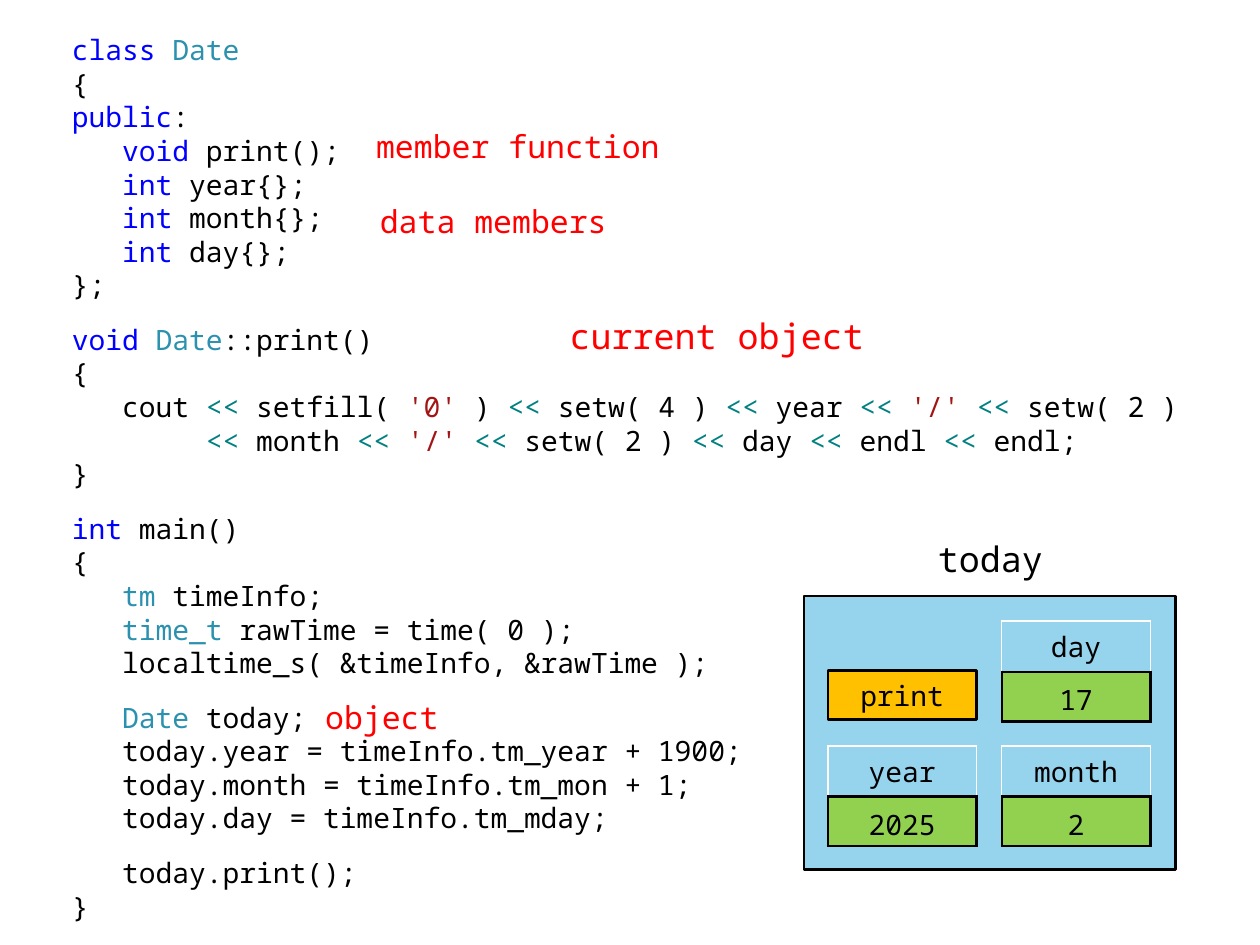
from itertools import groupby

from lxml import etree
from pptx import Presentation
from pptx.dml.color import RGBColor
from pptx.enum.shapes import MSO_SHAPE
from pptx.enum.text import MSO_ANCHOR, MSO_AUTO_SIZE, PP_ALIGN
from pptx.oxml.ns import qn
from pptx.util import Inches, Pt

PROCESS = MSO_SHAPE.FLOWCHART_PROCESS
TOP, MIDDLE = MSO_ANCHOR.TOP, MSO_ANCHOR.MIDDLE
LEFT, CENTER = PP_ALIGN.LEFT, PP_ALIGN.CENTER

THEME = {
    "font": "Noto Sans Mono", "code": 16, "label": 18, "heading": 20,
    "leading": 19.2, "block_gap": 12, "border": 1.5,
    "ink": "000000", "keyword": "0000FF", "type": "2B91AF",
    "operator": "008080", "literal": "A31515", "note": "FF0000",
    "object": "96D4EE", "function": "FFC000", "data": "92D050",
}

CODE_BLOCKS = [
    """class Date
{
public:
   void print();
   int year{};
   int month{};
   int day{};
};""",
    """void Date::print()
{
   cout << setfill( '0' ) << setw( 4 ) << year << '/' << setw( 2 )
        << month << '/' << setw( 2 ) << day << endl << endl;
}""",
    """int main()
{
   tm timeInfo;
   time_t rawTime = time( 0 );
   localtime_s( &timeInfo, &rawTime );""",
    """   Date today;
   today.year = timeInfo.tm_year + 1900;
   today.month = timeInfo.tm_mon + 1;
   today.day = timeInfo.tm_mday;""",
    """   today.print();
}""",
]
SYNTAX = {
    "keyword": ["class", "public", "void", "int"],
    "type": ["Date", "tm", "time_t"],
    "operator": ["<<"],
    "literal": ["'0'", "'/'"],
}
CODE_AREA = (0.47, 0.21, 9.06, 7.09)

OBJECT_AREA = (6.38, 4.73, 2.95, 2.17)
FUNCTION_AREA = (6.57, 5.32, 1.18, 0.39)
FIELD_COLUMNS, FIELD_ROWS = (6.57, 7.95), (4.93, 5.92)
FIELD_WIDTH, FIELD_ROW_HEIGHT = 1.18, 0.395
FIELDS = [("year", "2025", 0, 1), ("month", "2", 1, 1), ("day", "17", 1, 0)]

HEADING_INSETS, LABEL_INSETS = (0.05, 0.05), (0, 0.05)
LABELS = [
    ("today", (7.17, 4.14, 1.38, 0.59), "heading", "ink", HEADING_INSETS),
    ("current object", (4.41, 2.37, 2.56, 0.59), "heading", "note", HEADING_INSETS),
    ("object", (2.44, 5.52, 1.18, 0.39), "label", "note", LABEL_INSETS),
    ("member function", (2.83, 0.99, 2.56, 0.39), "label", "note", LABEL_INSETS),
    ("data members", (2.83, 1.58, 2.17, 0.39), "label", "note", LABEL_INSETS),
]


def color(role):
    return RGBColor.from_string(THEME[role])


def inches(area):
    return [Inches(length) for length in area]


def style(paragraph, size="code", role=None, align=CENTER):
    paragraph.alignment = align
    paragraph.font.name = THEME["font"]
    paragraph.font.size = Pt(THEME[size])
    if role:
        paragraph.font.color.rgb = color(role)


def character_kind(character):
    if character.isalnum() or character in "_'/":
        return "word"
    return "space" if character == " " else "symbol"


def token_role(token):
    return next((role for role, words in SYNTAX.items() if token in words), "ink")


def colored_parts(line):
    tokens = ["".join(group) for _, group in groupby(line, character_kind)]
    return [(role, "".join(group)) for role, group in groupby(tokens, token_role)]


def add_code(slide):
    listing = slide.placeholders[1]
    listing.left, listing.top, listing.width, listing.height = inches(CODE_AREA)
    frame = listing.text_frame
    frame.word_wrap = True
    frame.auto_size = MSO_AUTO_SIZE.NONE
    frame.vertical_anchor = TOP
    lines = [(line, THEME["block_gap"] if block and not row else 0)
             for block, text in enumerate(CODE_BLOCKS)
             for row, line in enumerate(text.split("\n"))]
    for number, (line, gap) in enumerate(lines):
        paragraph = frame.add_paragraph() if number else frame.paragraphs[0]
        style(paragraph, align=LEFT)
        paragraph.line_spacing = Pt(THEME["leading"])
        paragraph.space_before = Pt(gap)
        properties = paragraph._p.get_or_add_pPr()
        properties.set("marL", str(Inches(0.39)))
        properties.set("indent", str(Inches(-0.39)))
        bullet = etree.Element(qn("a:buNone"))
        properties.find(qn("a:defRPr")).addprevious(bullet)
        for role, part in colored_parts(line):
            run = paragraph.add_run()
            run.text = part
            run.font.color.rgb = color(role)


def add_box(slide, area, role, text=""):
    box = slide.shapes.add_shape(PROCESS, *inches(area))
    box.shadow.inherit = False
    box.fill.solid()
    box.fill.fore_color.rgb = color(role)
    box.line.color.rgb = color("ink")
    box.line.width = Pt(THEME["border"])
    if text:
        box.text_frame.text = text
        box.text_frame.vertical_anchor = MIDDLE
        style(box.text_frame.paragraphs[0], role="ink")


def add_borders(cell, sides):
    properties = cell._tc.get_or_add_tcPr()
    for position, side in enumerate(sides):
        border = etree.Element(qn(f"a:ln{side}"), w=str(Pt(THEME["border"])))
        fill = etree.SubElement(border, qn("a:solidFill"))
        etree.SubElement(fill, qn("a:srgbClr"), val=THEME["ink"])
        properties.insert(position, border)


def add_field(slide, name, value, column, row):
    area = (FIELD_COLUMNS[column], FIELD_ROWS[row], FIELD_WIDTH, 2 * FIELD_ROW_HEIGHT)
    table = slide.shapes.add_table(2, 1, *inches(area)).table
    table.first_row = table.horz_banding = False
    name_cell, value_cell = table.cell(0, 0), table.cell(1, 0)
    for cell, text in ((name_cell, name), (value_cell, value)):
        cell.text = text
        cell.vertical_anchor = MIDDLE
        style(cell.text_frame.paragraphs[0], role="ink")
    name_cell.fill.background()
    value_cell.margin_bottom = 0
    value_cell.fill.solid()
    value_cell.fill.fore_color.rgb = color("data")
    add_borders(name_cell, "B")
    add_borders(value_cell, "LRTB")


def add_label(slide, text, area, size, role, insets):
    frame = slide.shapes.add_textbox(*inches(area)).text_frame
    frame.word_wrap = True
    frame.vertical_anchor = MIDDLE
    frame.margin_top, frame.margin_bottom = inches(insets)
    frame.text = text
    style(frame.paragraphs[0], size, role)


def main():
    deck = Presentation()
    deck.slide_width, deck.slide_height = Inches(10), Inches(7.5)
    slide = deck.slides.add_slide(deck.slide_layouts[1])
    title = slide.shapes.title.element
    title.getparent().remove(title)
    add_code(slide)
    add_box(slide, OBJECT_AREA, "object")
    add_box(slide, FUNCTION_AREA, "function", "print")
    for field in FIELDS:
        add_field(slide, *field)
    for label in LABELS:
        add_label(slide, *label)
    deck.save("out.pptx")


if __name__ == "__main__":
    main()
